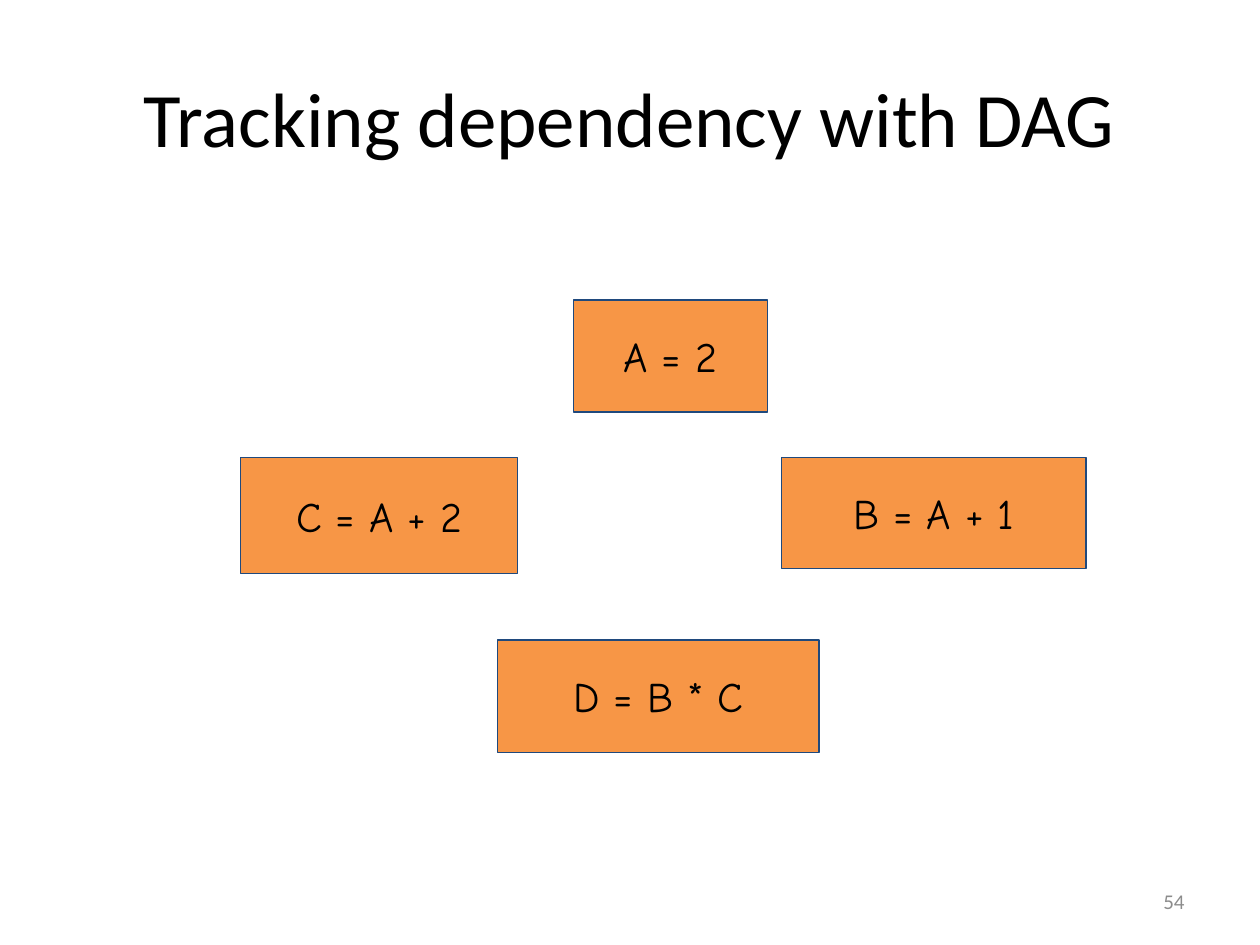
import pptx
import pptx.dml.color
import pptx.enum.shapes
import pptx.enum.text
import pptx.util

BLACK = pptx.dml.color.RGBColor(0x00, 0x00, 0x00)
GRAY = pptx.dml.color.RGBColor(0x8C, 0x8C, 0x8C)
ORANGE = pptx.dml.color.RGBColor(0xF7, 0x96, 0x46)
NAVY = pptx.dml.color.RGBColor(0x1F, 0x49, 0x7D)
ALIGN = pptx.enum.text.PP_ALIGN


class DependencySlide:
    """Style and current slide, with lengths in columns and rows of a 100 by 75 grid."""

    columns, rows = 100, 75
    title_format = {"name": "Calibri", "size": pptx.util.Pt(44), "color": BLACK}
    node_format = {"name": "Comic Neue", "size": pptx.util.Pt(24), "color": BLACK}
    number_format = {"name": "Calibri", "size": pptx.util.Pt(12), "color": GRAY}
    node_inset = pptx.util.Inches(0.07)

    def __init__(self, presentation):
        self.column = presentation.slide_width / self.columns
        self.row = presentation.slide_height / self.rows
        self.slide = presentation.slides.add_slide(presentation.slide_layouts[5])

    def box(self, left, top, width, height):
        return (round(left * self.column), round(top * self.row),
                round(width * self.column), round(height * self.row))

    def set_text(self, shape, text, formats, alignment):
        frame = shape.text_frame
        frame.word_wrap = True
        frame.vertical_anchor = pptx.enum.text.MSO_ANCHOR.MIDDLE
        paragraph = frame.paragraphs[0]
        paragraph.text = text
        paragraph.alignment = alignment
        for key, value in formats.items():
            if key == "color":
                paragraph.font.color.rgb = value
            else:
                setattr(paragraph.font, key, value)

    def title(self, text, *place):
        shape = self.slide.shapes.title
        shape.left, shape.top, shape.width, shape.height = self.box(*place)
        self.set_text(shape, text, self.title_format, ALIGN.CENTER)

    def node(self, text, *place):
        shape = self.slide.shapes.add_shape(
            pptx.enum.shapes.MSO_SHAPE.RECTANGLE, *self.box(*place))
        shape.shadow.inherit = False
        shape.fill.solid()
        shape.fill.fore_color.rgb = ORANGE
        shape.line.color.rgb = NAVY
        shape.line.width = pptx.util.Pt(0.75)
        for side in ("left", "top", "right", "bottom"):
            setattr(shape.text_frame, f"margin_{side}", self.node_inset)
        self.set_text(shape, text, self.node_format, ALIGN.CENTER)

    def page_number(self, text, *place):
        shape = self.slide.shapes.add_textbox(*self.box(*place))
        self.set_text(shape, text, self.number_format, ALIGN.RIGHT)


def main():
    presentation = pptx.Presentation()
    presentation.slide_width = pptx.util.Inches(10)
    presentation.slide_height = pptx.util.Inches(7.5)
    slide = DependencySlide(presentation)
    slide.title("Tracking dependency with DAG", 5, 3, 90, 12.5)
    nodes = (
        ("A = 2", 45.5, 23.8, 15.4, 8.9),
        ("B = A + 1", 62, 36.3, 24.2, 8.8),
        ("C = A + 2", 19.1, 36.3, 22, 9.2),
        ("D = B * C", 39.5, 50.8, 25.5, 8.9),
    )
    for node in nodes:
        slide.node(*node)
    slide.page_number("54", 71.7, 69.5, 23.3, 4)
    presentation.save("out.pptx")


if __name__ == "__main__":
    main()
